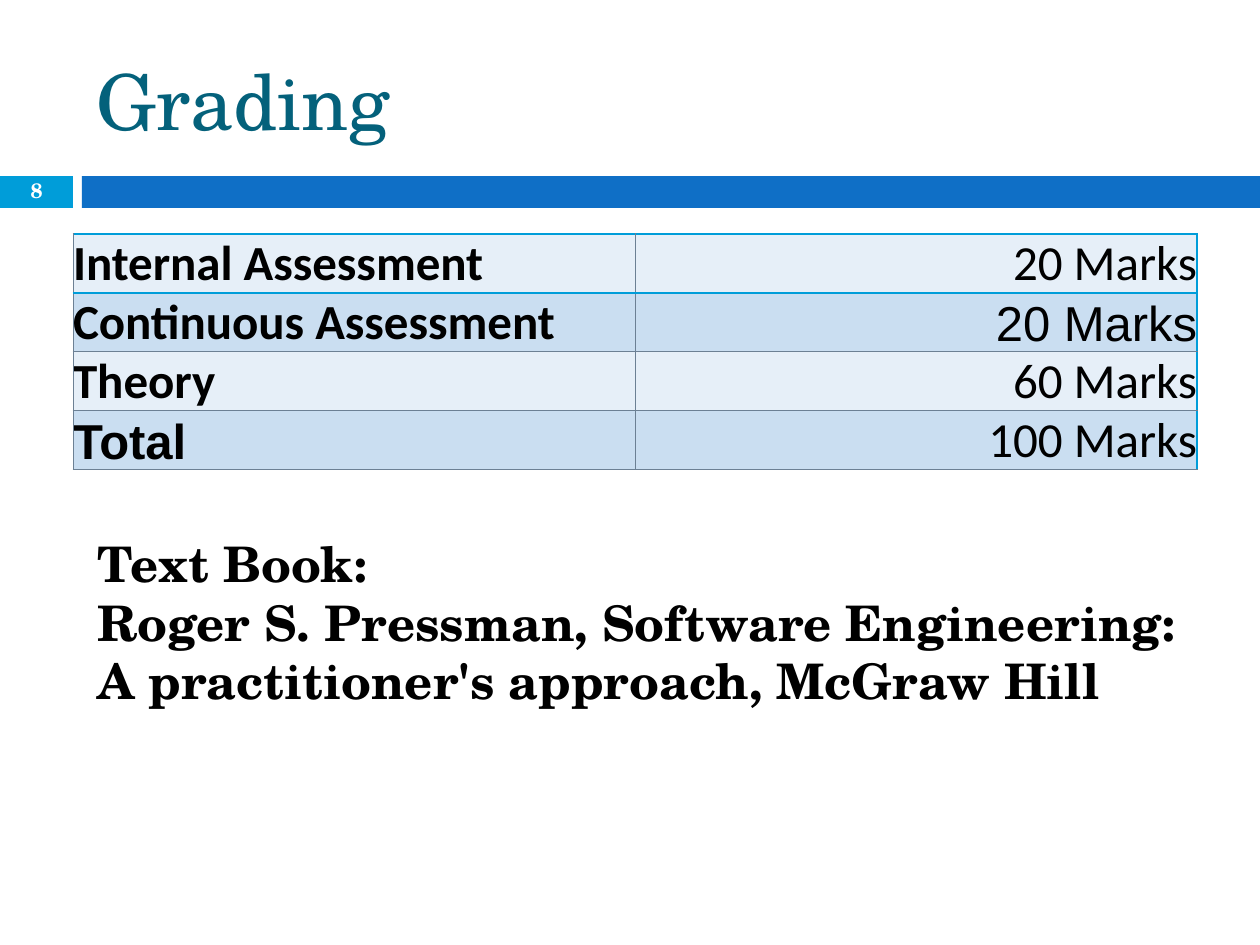
from dataclasses import dataclass

from lxml.etree import SubElement
from pptx import Presentation
from pptx.dml.color import RGBColor
from pptx.enum.shapes import MSO_SHAPE
from pptx.enum.text import MSO_ANCHOR, PP_ALIGN
from pptx.oxml.ns import qn
from pptx.util import Emu, Pt

PX = 914400 / 126
SERIF, SANS, ARIAL = "TeX Gyre Schola", "Calibri", "Arial"
COLORS = {
    "cyan": "009DD9", "blue": "0F6FC6", "title": "04617B", "text": "000000",
    "white": "FFFFFF", "light": "E6EFF8", "dark": "CADEF1", "grid": "6C8094",
}


@dataclass
class Box:
    left: int
    top: int
    width: int
    height: int

    def emu(self) -> tuple:
        return tuple(px(n) for n in (self.left, self.top, self.width, self.height))


@dataclass
class Grade:
    name: str
    marks: str
    name_font: str = SANS
    marks_font: str = SANS


GRADES = [
    Grade("Internal Assessment", "20 Marks"),
    Grade("Continuous Assessment", "20 Marks", marks_font=ARIAL),
    Grade("Theory", "60 Marks"),
    Grade("Total", "100 Marks", name_font=ARIAL),
]
BARS = [(Box(0, 176, 73, 32), "cyan"), (Box(82, 176, 1178, 32), "blue")]
TEXT_BOOK = [
    "Text Book:",
    "Roger S. Pressman, Software Engineering: A practitioner's approach, McGraw Hill",
]


def px(n: int) -> Emu:
    return Emu(round(n * PX))


def rgb(name: str) -> RGBColor:
    return RGBColor.from_string(COLORS[name])


def write(tf, lines: list, font: str, size: float, color: str, bold: bool = False,
          align=PP_ALIGN.LEFT) -> None:
    for i, line in enumerate(lines):
        p = tf.add_paragraph() if i else tf.paragraphs[0]
        p.text = line
        p.alignment = align
        p.font.name, p.font.size, p.font.bold = font, Pt(size), bold
        p.font.color.rgb = rgb(color)


def add_bar(s, box: Box, color: str) -> None:
    sp = s.shapes.add_shape(MSO_SHAPE.RECTANGLE, *box.emu())
    sp.shadow.inherit = False
    sp.fill.solid()
    sp.fill.fore_color.rgb = rgb(color)
    sp.line.fill.background()


def add_text(s, box: Box, lines: list, size: float, color: str, **style):
    tf = s.shapes.add_textbox(*box.emu()).text_frame
    tf.word_wrap = True
    write(tf, lines, SERIF, size, color, bold=True, **style)
    return tf


def add_border(cell, side: str, color: str, width: float) -> None:
    ln = SubElement(cell._tc.get_or_add_tcPr(), qn(f"a:{side}"), w=str(Pt(width)))
    fill = SubElement(ln, qn("a:solidFill"))
    SubElement(fill, qn("a:srgbClr"), val=COLORS[color])


def add_grades(s, box: Box) -> None:
    table = s.shapes.add_table(len(GRADES), 2, *box.emu()).table
    table.first_row = table.horz_banding = False
    for i, grade in enumerate(GRADES):
        columns = [(grade.name, grade.name_font, True, PP_ALIGN.LEFT),
                   (grade.marks, grade.marks_font, False, PP_ALIGN.RIGHT)]
        for j, (text, font, bold, align) in enumerate(columns):
            cell = table.cell(i, j)
            # Cyan marks the first row and the right edge
            accents = {"lnL": False, "lnR": j == 1, "lnT": i < 2, "lnB": i == 0}
            for side, accent in accents.items():
                add_border(cell, side, *(("cyan", 1) if accent else ("grid", 0.5)))
            cell.fill.solid()
            cell.fill.fore_color.rgb = rgb("dark" if i % 2 else "light")
            cell.margin_left = cell.margin_right = 0
            cell.margin_top = cell.margin_bottom = 0
            cell.vertical_anchor = MSO_ANCHOR.BOTTOM
            write(cell.text_frame, [text], font, 28, "text", bold, align)


def main() -> None:
    prs = Presentation()
    prs.slide_width, prs.slide_height = px(1260), px(945)
    s = prs.slides.add_slide(prs.slide_layouts[5])

    # Header bars
    for box, color in BARS:
        add_bar(s, box, color)

    # Title
    title = s.shapes.title
    title.left, title.top, title.width, title.height = Box(84, 32, 1124, 136).emu()
    title.text_frame.vertical_anchor = MSO_ANCHOR.MIDDLE
    write(title.text_frame, ["Grading"], SERIF, 44, "title")

    # Slide number
    tf = add_text(s, Box(0, 175, 73, 34), ["8"], 11.9, "white", align=PP_ALIGN.CENTER)
    tf.vertical_anchor = MSO_ANCHOR.MIDDLE
    tf.paragraphs[0].line_spacing = 0.8

    # Marks and text book
    add_grades(s, Box(73, 234, 1124, 208))
    add_text(s, Box(85, 527, 1123, 190), TEXT_BOOK, 28, "text")

    prs.save("out.pptx")


if __name__ == "__main__":
    main()
